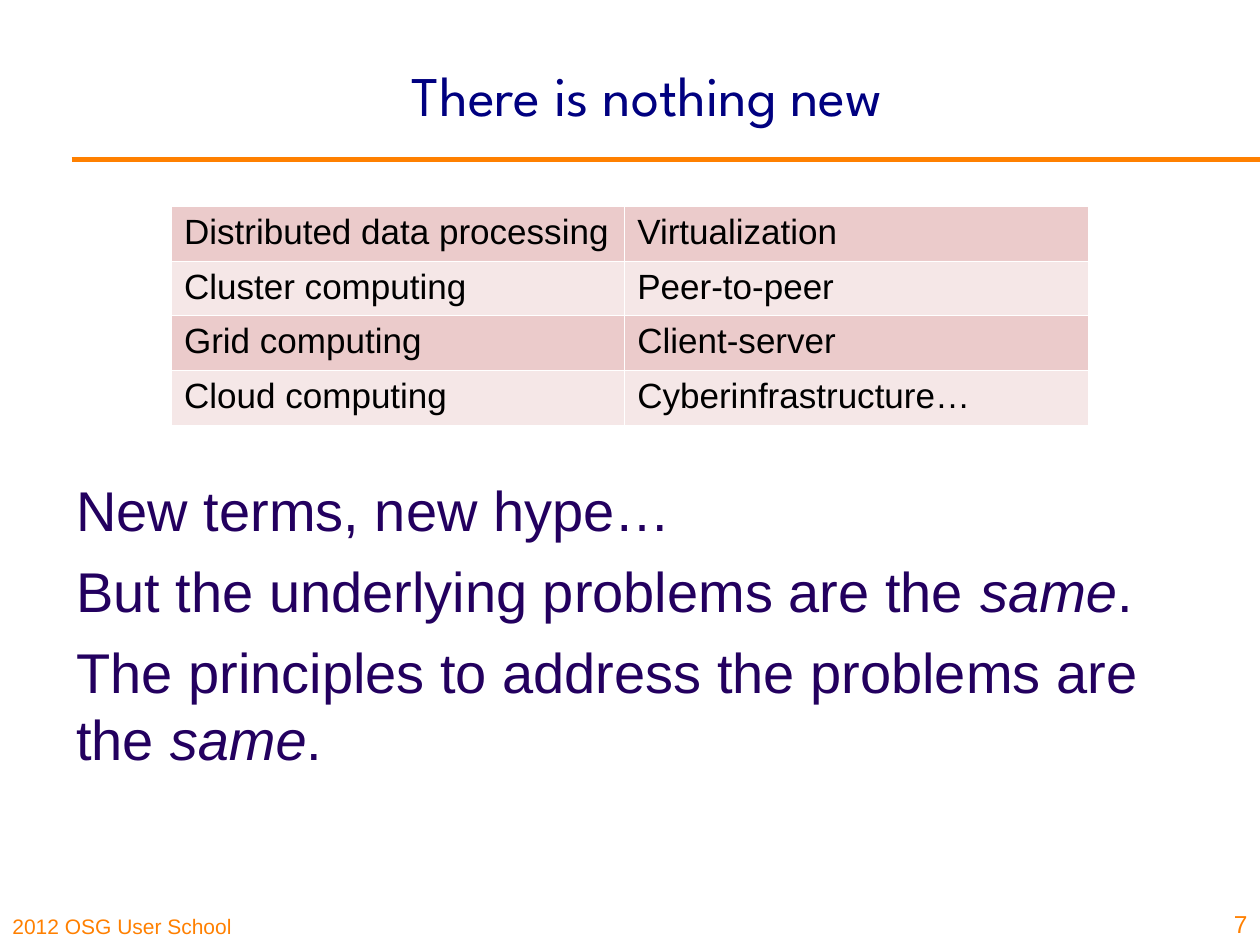
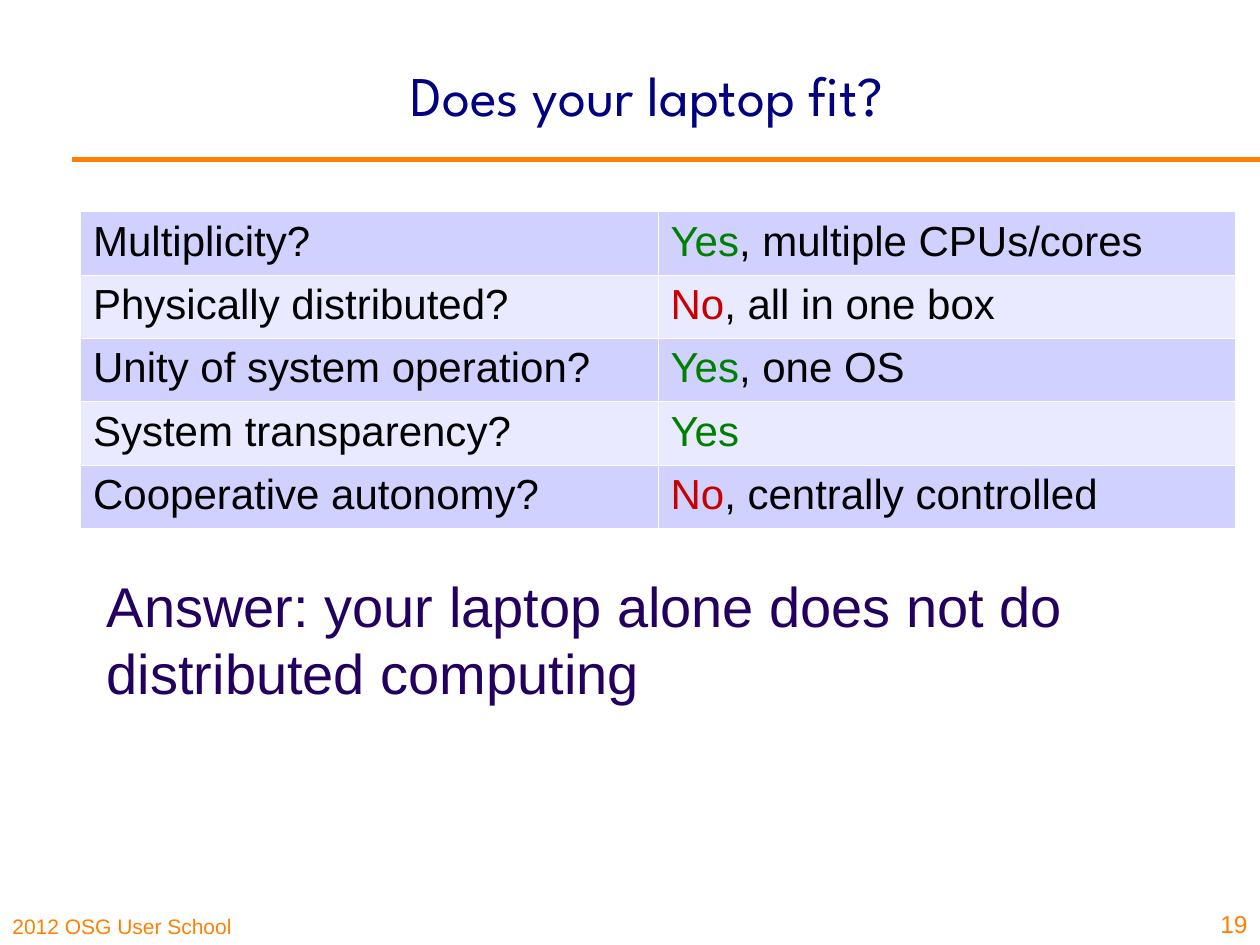
from dataclasses import dataclass

from lxml import etree
from pptx import Presentation
from pptx.dml.color import RGBColor
from pptx.enum.shapes import MSO_CONNECTOR
from pptx.enum.text import MSO_ANCHOR, PP_ALIGN
from pptx.oxml.ns import qn
from pptx.util import Pt

LEFT, CENTER, RIGHT = PP_ALIGN.LEFT, PP_ALIGN.CENTER, PP_ALIGN.RIGHT
TOP, MIDDLE, BOTTOM = MSO_ANCHOR.TOP, MSO_ANCHOR.MIDDLE, MSO_ANCHOR.BOTTOM
STRAIGHT = MSO_CONNECTOR.STRAIGHT
BLANK_LAYOUT = 6


@dataclass(frozen=True)
class Theme:
    width: int = 720
    height: int = 540
    body_font: str = "Arial"
    title_font: str = "League Spartan"
    title_size: int = 32
    body_size: int = 32
    footer_size: int = 12
    number_size: int = 14
    paragraph_gap: int = 8
    border_width: float = 0.45
    accent: str = "FF8000"
    title: str = "000080"
    body: str = "23005F"
    cell_text: str = "000000"
    border: str = "FFFFFF"
    yes: str = "008000"
    no: str = "C70000"
    rose_bands: tuple = ("EBCBCB", "F5E7E7")
    blue_bands: tuple = ("D1D1FF", "E9E9FF")


THEME = Theme()


@dataclass(frozen=True)
class Span:
    """A stretch of text that differs from its paragraph."""
    text: str
    color: str = ""
    italic: bool = False


YES = Span("Yes", color=THEME.yes)
NO = Span("No", color=THEME.no)
SAME = Span("same", italic=True)


class Deck:
    def __init__(self, theme):
        self.theme = theme
        self.presentation = Presentation()
        self.presentation.slide_width = Pt(theme.width)
        self.presentation.slide_height = Pt(theme.height)
        self.slide = None

    def add_slide(self, title, number):
        """Start a slide with the shared footer, rule, title and number."""
        theme = self.theme
        layout = self.presentation.slide_layouts[BLANK_LAYOUT]
        self.slide = self.presentation.slides.add_slide(layout)
        self.text(0, 510, 178.5, 30, ["2012 OSG User School"],
                  theme.footer_size, theme.accent, anchor=BOTTOM)
        self.rule(41, 91, theme.width)
        self.text(96.5, 9, 547, 90, [title], theme.title_size, theme.title,
                  theme.title_font, CENTER, MIDDLE)
        self.text(687, 504, 33, 36, [str(number)], theme.number_size,
                  theme.accent, align=RIGHT, anchor=BOTTOM)

    def rule(self, left, top, right):
        line = self.slide.shapes.add_connector(
            STRAIGHT, Pt(left), Pt(top), Pt(right), Pt(top))
        line.line.color.rgb = RGBColor.from_string(self.theme.accent)
        line.line.width = Pt(3)
        etree.SubElement(line._element.spPr, qn("a:effectLst"))

    def text(self, left, top, width, height, paragraphs, size, color,
             font=None, align=LEFT, anchor=TOP):
        box = self.slide.shapes.add_textbox(
            Pt(left), Pt(top), Pt(width), Pt(height))
        frame = box.text_frame
        frame.word_wrap = True
        frame.vertical_anchor = anchor
        for index, content in enumerate(paragraphs):
            paragraph = frame.add_paragraph() if index else frame.paragraphs[0]
            if index:
                paragraph.space_before = Pt(self.theme.paragraph_gap)
            paragraph.alignment = align
            self.fill_paragraph(paragraph, content, size, color, font)

    def body(self, left, top, width, paragraphs):
        self.text(left, top, width, 151, paragraphs,
                  self.theme.body_size, self.theme.body)

    def fill_paragraph(self, paragraph, content, size, color, font=None):
        """Fill a paragraph from a string or a list of strings and spans."""
        paragraph.font.size = Pt(size)
        paragraph.font.name = font or self.theme.body_font
        paragraph.font.color.rgb = RGBColor.from_string(color)
        for part in [content] if isinstance(content, str) else content:
            run = paragraph.add_run()
            if isinstance(part, str):
                run.text = part
                continue
            run.text = part.text
            if part.italic:
                run.font.italic = True
            if part.color:
                run.font.color.rgb = RGBColor.from_string(part.color)

    def table(self, left, top, column_widths, row_height, rows, size, bands):
        frame = self.slide.shapes.add_table(
            len(rows), len(column_widths), Pt(left), Pt(top),
            Pt(sum(column_widths)), Pt(row_height * len(rows)))
        table = frame.table
        table.first_row = table.horz_banding = False
        for column, width in zip(table.columns, column_widths):
            column.width = Pt(width)
        for index, contents in enumerate(rows):
            table.rows[index].height = Pt(row_height)
            for cell, content in zip(table.rows[index].cells, contents):
                self.border(cell)
                cell.fill.solid()
                cell.fill.fore_color.rgb = RGBColor.from_string(
                    bands[index % len(bands)])
                self.fill_paragraph(cell.text_frame.paragraphs[0], content,
                                    size, self.theme.cell_text)

    def border(self, cell):
        properties = cell._tc.get_or_add_tcPr()
        for side in ("a:lnL", "a:lnR", "a:lnT", "a:lnB"):
            line = etree.SubElement(properties, qn(side),
                                    w=str(Pt(self.theme.border_width)))
            fill = etree.SubElement(line, qn("a:solidFill"))
            etree.SubElement(fill, qn("a:srgbClr"), val=self.theme.border)


def add_nothing_new(deck):
    deck.add_slide("There is nothing new", 7)
    deck.body(36.5, 268, 647, [
        "New terms, new hype…",
        ["But the underlying problems are the ", SAME, "."],
        ["The principles to address the problems are the ", SAME, "."],
    ])
    deck.table(98, 118, (259, 265), 31.2, [
        ("Distributed data processing", "Virtualization"),
        ("Cluster computing", "Peer-to-peer"),
        ("Grid computing", "Client-server"),
        ("Cloud computing", "Cyberinfrastructure…"),
    ], 20, deck.theme.rose_bands)


def add_laptop_fit(deck):
    deck.add_slide("Does your laptop fit?", 19)
    deck.table(46, 121, (330, 330), 36.2, [
        ("Multiplicity?", [YES, ", multiple CPUs/cores"]),
        ("Physically distributed?", [NO, ", all in one box"]),
        ("Unity of system operation?", [YES, ", one OS"]),
        ("System transparency?", [YES]),
        ("Cooperative autonomy?", [NO, ", centrally controlled"]),
    ], 24, deck.theme.blue_bands)
    deck.body(54, 323, 612, [
        "Answer: your laptop alone does not do distributed computing",
    ])


def main():
    deck = Deck(THEME)
    add_nothing_new(deck)
    add_laptop_fit(deck)
    deck.presentation.save("out.pptx")


if __name__ == "__main__":
    main()
